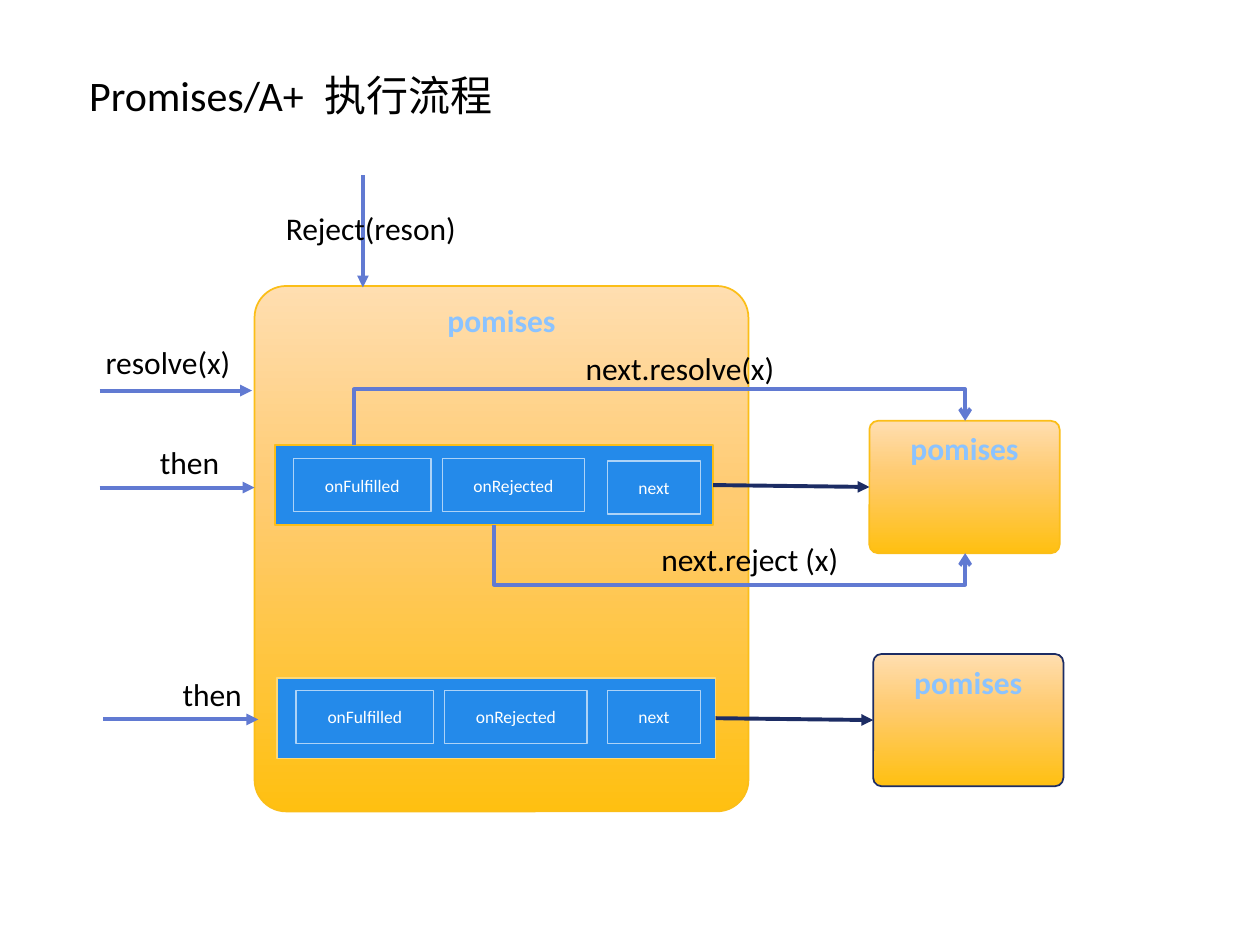
from copy import deepcopy

from lxml import etree
from pptx import Presentation
from pptx.dml.color import RGBColor
from pptx.enum.shapes import MSO_CONNECTOR, MSO_SHAPE
from pptx.enum.text import MSO_ANCHOR, MSO_AUTO_SIZE, PP_ALIGN
from pptx.oxml.ns import qn
from pptx.util import Inches, Pt

RECT, ROUNDED = MSO_SHAPE.RECTANGLE, MSO_SHAPE.ROUNDED_RECTANGLE
STRAIGHT, ELBOW = MSO_CONNECTOR.STRAIGHT, MSO_CONNECTOR.ELBOW
TOP, MIDDLE = MSO_ANCHOR.TOP, MSO_ANCHOR.MIDDLE
LEFT, CENTER = PP_ALIGN.LEFT, PP_ALIGN.CENTER
FIT_TEXT = MSO_AUTO_SIZE.SHAPE_TO_FIT_TEXT

FONT = "Calibri"
BLACK, WHITE = "000000", "FFFFFF"
BLUE, PALE_BLUE, NAVY, FLOW = "248AEA", "ADD3F7", "1C2C64", "617AD2"
GOLD, PALE_GOLD = "FBBE18", "FDD978"
PROMISE_TEXT, PROMISE_OUTLINE = "8BC3FF", "0C2CA0"
PROMISE_STOPS = ((0, "FFC011"), (0.6, "FFCB71"), (1, "FFDEB0"))

BAR_W, BAR_H = 3.48, 0.64
CELL_H = 0.42
NEXT_LEFT, NEXT_W = 4.82, 0.74
CALLBACKS = (("onFulfilled", 0.15, 1.09), ("onRejected", 1.33, 1.13))
PROMISE_W, PROMISE_H = 1.51, 1.05


def rgb(color):
    """Turn a hex string into a colour."""
    return RGBColor.from_string(color)


def write(frame, text, size=18, color=BLACK, bold=False, align=LEFT,
          anchor=TOP, outline=None):
    """Put one formatted paragraph into a text frame."""
    frame.vertical_anchor = anchor
    paragraph = frame.paragraphs[0]
    paragraph.alignment = align
    run = paragraph.add_run()
    run.text = text
    font = run.font
    font.name, font.size, font.bold = FONT, Pt(size), bold
    font.color.rgb = rgb(color)
    if outline:
        stroke = etree.Element(qn("a:ln"), w=str(Pt(1)))
        solid = etree.SubElement(stroke, qn("a:solidFill"))
        etree.SubElement(solid, qn("a:srgbClr"), val=outline)
        run._r.get_or_add_rPr().insert(0, stroke)


def add_label(slide, text, left, top, width, height=0.4, **style):
    """Add an unwrapped text label."""
    box = slide.shapes.add_textbox(*map(Inches, (left, top, width, height)))
    box.text_frame.word_wrap = False
    box.text_frame.auto_size = FIT_TEXT
    write(box.text_frame, text, **style)


def add_box(slide, kind, left, top, width, height, line, weight=1):
    """Add a blue box with a coloured border."""
    box = slide.shapes.add_shape(
        kind, *map(Inches, (left, top, width, height)))
    box.shadow.inherit = False
    box.fill.solid()
    box.fill.fore_color.rgb = rgb(BLUE)
    box.line.color.rgb = rgb(line)
    box.line.width = Pt(weight)
    return box


def add_promise(slide, left, top, width=PROMISE_W, height=PROMISE_H,
                line=GOLD):
    """Add a rounded promise box with its upward gradient."""
    box = add_box(slide, ROUNDED, left, top, width, height, line)
    box.adjustments[0] = 0.064
    box.fill.gradient()
    box.fill.gradient_angle = 90
    stop_list = box._element.spPr.find(
        f"{qn('a:gradFill')}/{qn('a:gsLst')}")
    stop_list.append(deepcopy(stop_list[-1]))
    for stop, (position, color) in zip(box.fill.gradient_stops,
                                       PROMISE_STOPS):
        stop.position = position
        stop.color.rgb = rgb(color)
    write(box.text_frame, "pomises", color=PROMISE_TEXT, bold=True,
          align=CENTER, outline=PROMISE_OUTLINE)


def add_arrow(slide, start, end, color=FLOW, kind=STRAIGHT, head="triangle"):
    """Add a connector with an arrowhead at its end."""
    arrow = slide.shapes.add_connector(kind, *map(Inches, (*start, *end)))
    arrow.line.color.rgb = rgb(color)
    arrow.line.width = Pt(2.25)
    etree.SubElement(arrow.line._get_or_add_ln(), qn("a:tailEnd"), type=head)
    etree.SubElement(arrow._element.spPr, qn("a:effectLst"))
    return arrow


def add_detour(slide, start, end, rail):
    """Add an elbow arrow that runs along the height given by rail."""
    arrow = add_arrow(slide, start, end, kind=ELBOW, head="arrow")
    geometry = arrow._element.spPr.find(qn("a:prstGeom"))
    geometry.set("prst", "bentConnector4")
    guides = geometry.find(qn("a:avLst"))
    rail_share = (rail - start[1]) / (end[1] - start[1])
    for name, share in (("adj1", 0), ("adj2", rail_share)):
        etree.SubElement(guides, qn("a:gd"), name=name,
                         fmla=f"val {round(share * 100000)}")


def add_cell(slide, text, left, top, width):
    """Add one named cell of a handler bar."""
    cell = add_box(slide, RECT, left, top, width, CELL_H, PALE_BLUE, 0.75)
    write(cell.text_frame, text, size=10, color=WHITE, align=CENTER,
          anchor=MIDDLE)


def add_then_row(slide, bar, cell_top, next_top, call, label_left, promise,
                 bar_line, promise_line):
    """Add a then call, its handler bar and the promise that follows."""
    bar_left, bar_top = bar
    call_left, call_y = call
    promise_left, promise_top = promise
    add_arrow(slide, call, (call_left + 1.23, call_y))
    add_label(slide, "then", label_left, call_y - 0.4, 0.68)
    add_box(slide, RECT, bar_left, bar_top, BAR_W, BAR_H, bar_line)
    for text, offset, width in CALLBACKS:
        add_cell(slide, text, bar_left + offset, cell_top, width)
    add_cell(slide, "next", NEXT_LEFT, next_top, NEXT_W)
    add_promise(slide, promise_left, promise_top, line=promise_line)
    add_arrow(slide, (bar_left + BAR_W, bar_top + BAR_H / 2),
              (promise_left, promise_top + PROMISE_H / 2), NAVY)


def main():
    """Build the promise flow slide."""
    deck = Presentation()
    deck.slide_width, deck.slide_height = Inches(10), Inches(7.5)
    slide = deck.slides.add_slide(deck.slide_layouts[6])

    add_promise(slide, 2.02, 2.27, 3.92, 4.17)
    add_then_row(slide, bar=(2.18, 3.53), cell_top=3.64, next_top=3.66,
                 call=(0.79, 3.87), label_left=1.17, promise=(6.9, 3.34),
                 bar_line=GOLD, promise_line=GOLD)
    add_then_row(slide, bar=(2.2, 5.38), cell_top=5.48, next_top=5.48,
                 call=(0.82, 5.71), label_left=1.35, promise=(6.93, 5.19),
                 bar_line=PALE_GOLD, promise_line=NAVY)

    add_arrow(slide, (0.79, 3.1), (2, 3.1))
    add_label(slide, "resolve(x)", 0.74, 2.67, 1.21)
    add_arrow(slide, (2.88, 1.39), (2.88, 2.28))
    add_label(slide, "Reject(reson)", 2.17, 1.61, 1.57)

    add_detour(slide, (2.81, 3.53), (7.66, 3.34), rail=3.09)
    add_label(slide, "next.resolve(x)", 4.55, 2.72, 1.75)
    add_detour(slide, (3.92, 4.17), (7.66, 4.39), rail=4.64)
    add_label(slide, "next.reject (x)", 5.15, 4.24, 1.66)

    add_label(slide, "Promises/A+\u2002执行流程", 0.61, 0.5, 3.7, 0.5, size=24)
    deck.save("out.pptx")


if __name__ == "__main__":
    main()
